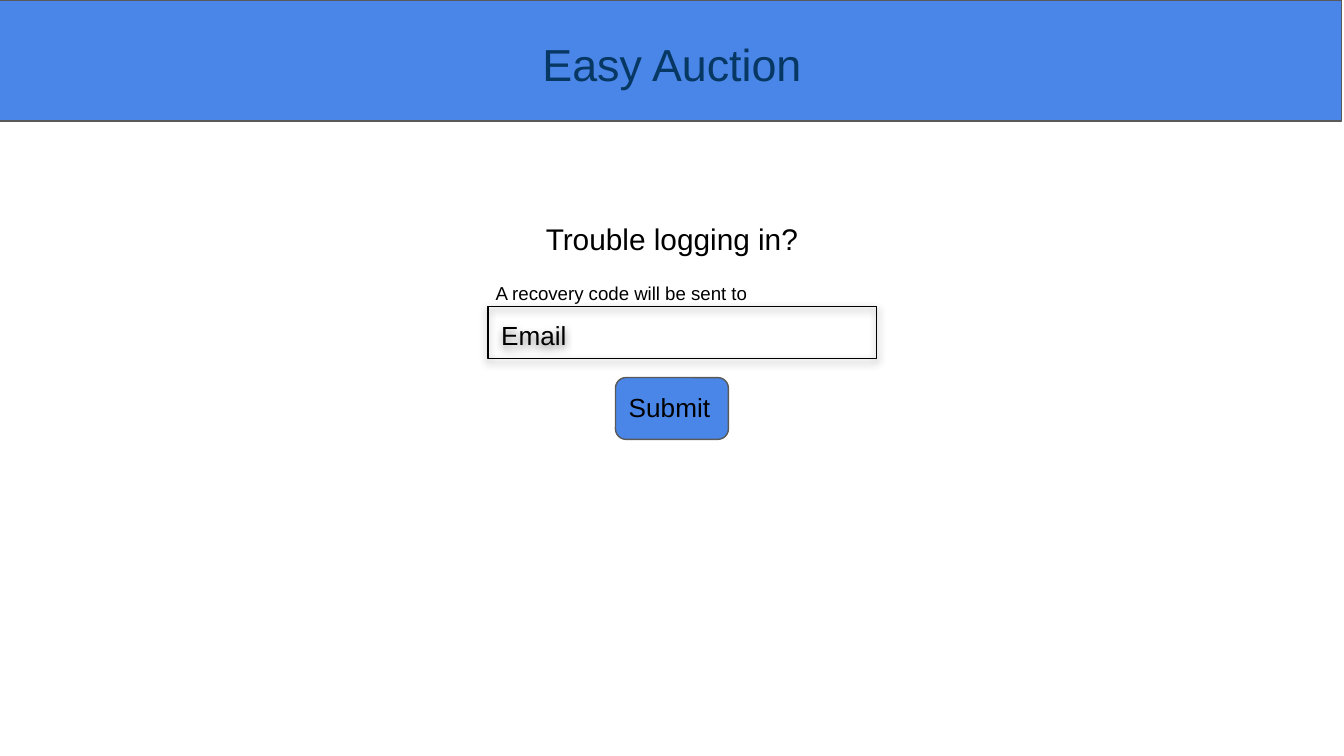
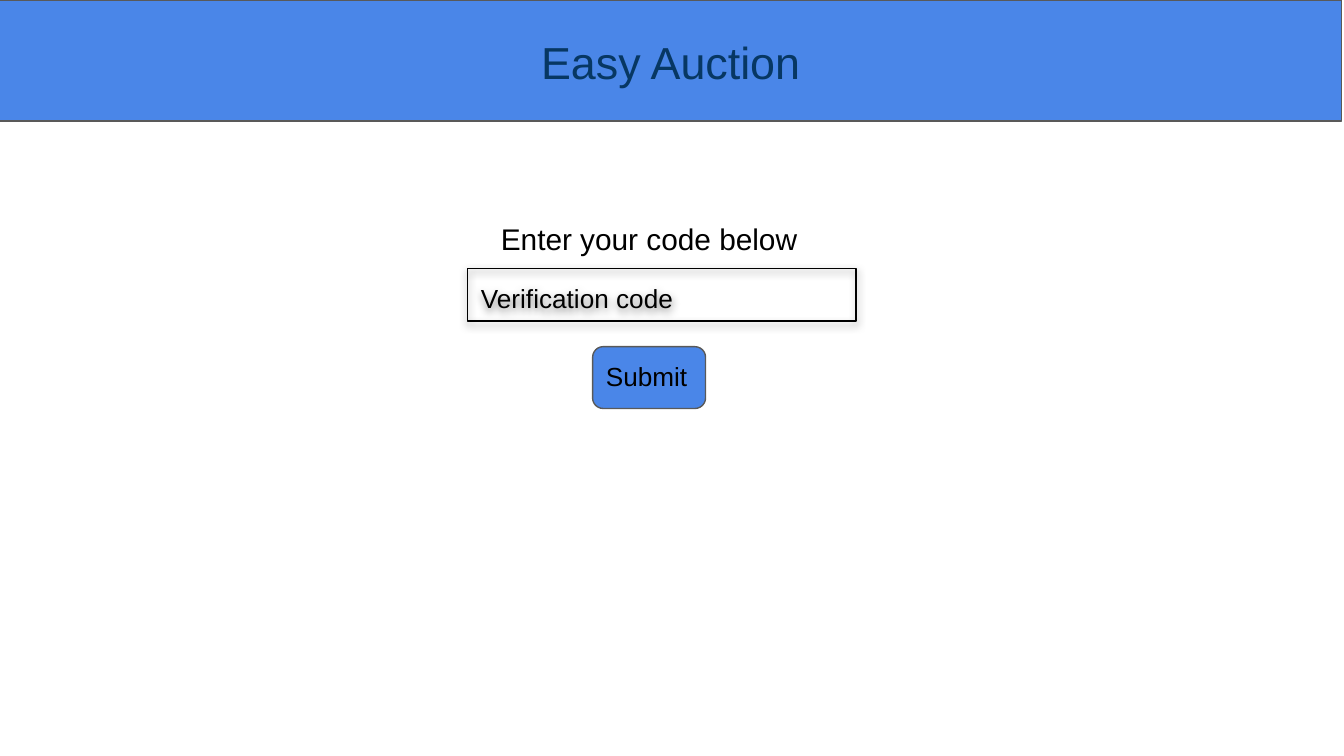
import dataclasses

import pptx
import pptx.dml.color
import pptx.enum.shapes
import pptx.enum.text
import pptx.oxml
import pptx.oxml.ns
import pptx.util

Inches = pptx.util.Inches
Pt = pptx.util.Pt
RGB = pptx.dml.color.RGBColor.from_string
MSO_SHAPE = pptx.enum.shapes.MSO_SHAPE
PP_ALIGN = pptx.enum.text.PP_ALIGN


@dataclasses.dataclass(frozen=True)
class Theme:
    font: str = "Arial"
    blue: str = "4A86E8"
    border: str = "595959"
    navy: str = "073763"
    black: str = "000000"
    title: int = 24
    heading: int = 16
    field: int = 14
    hint: int = 10


theme = Theme()

SHADOW = (
    f'<a:effectLst {pptx.oxml.ns.nsdecls("a")}>'
    f'<a:outerShdw blurRad="{Pt(4.5)}" dist="{Pt(1.5)}" dir="5400000" algn="bl" rotWithShape="0">'
    f'<a:srgbClr val="{theme.black}"><a:alpha val="50000"/></a:srgbClr>'
    "</a:outerShdw></a:effectLst>"
)


def add_box(s, kind, left, top, width, height, line, fill=None):
    sp = s.shapes.add_shape(kind, Inches(left), Inches(top), Inches(width), Inches(height))
    sp.shadow.inherit = False
    sp.line.color.rgb = RGB(line)
    sp.line.width = Pt(0.75)
    if fill:
        sp.fill.solid()
        sp.fill.fore_color.rgb = RGB(fill)
    else:
        sp.fill.background()
    return sp


def write(sp, text, size, align=PP_ALIGN.LEFT, color=theme.black):
    tf = sp.text_frame
    tf.word_wrap = True
    tf.auto_size = pptx.enum.text.MSO_AUTO_SIZE.NONE
    tf.vertical_anchor = pptx.enum.text.MSO_ANCHOR.TOP
    tf.margin_left = tf.margin_right = tf.margin_top = tf.margin_bottom = Inches(0.1)
    p = tf.paragraphs[0]
    p.alignment = align
    r = p.add_run()
    r.text = text
    r.font.name = theme.font
    r.font.size = Pt(size)
    r.font.color.rgb = RGB(color)


screens = [
    {
        "title_at": (3.25, 0.17),
        "heading": "Trouble logging in?",
        "heading_left": 2.93,
        "hint": "A recovery code will be sent to",
        "field": "Email",
        "field_at": (3.63, 2.28),
        "button_at": (4.58, 2.81),
    },
    {
        "title_at": (3.24, 0.16),
        "heading": "Enter your code below",
        "heading_left": 2.76,
        "hint": None,
        "field": "Verification code",
        "field_at": (3.48, 2),
        "button_at": (4.41, 2.58),
    },
]

prs = pptx.Presentation()
prs.slide_width = Inches(10)
prs.slide_height = Inches(10 * 9 / 16)

for screen in screens:
    s = prs.slides.add_slide(prs.slide_layouts[5])

    title = s.shapes.title
    title.left, title.top = map(Inches, screen["title_at"])
    title.width, title.height = Inches(3.5), Inches(0.57)
    write(title, "Easy Auction", theme.title, PP_ALIGN.CENTER, theme.navy)

    band = add_box(s, MSO_SHAPE.RECTANGLE, -0.02, 0, 10, 0.9, theme.border, theme.blue)
    title.element.addprevious(band.element)

    heading = s.shapes.add_textbox(
        Inches(screen["heading_left"]), Inches(1.54), Inches(4.14), Inches(0.46)
    )
    write(heading, screen["heading"], theme.heading, PP_ALIGN.CENTER)

    field = add_box(s, MSO_SHAPE.RECTANGLE, *screen["field_at"], 2.89, 0.39, theme.black)
    effects = field.element.spPr.find(pptx.oxml.ns.qn("a:effectLst"))
    effects.getparent().replace(effects, pptx.oxml.parse_xml(SHADOW))
    write(field, screen["field"], theme.field)

    if screen["hint"]:
        hint = s.shapes.add_textbox(Inches(3.59), Inches(2), Inches(3.13), Inches(0.39))
        write(hint, screen["hint"], theme.hint)

    button = add_box(
        s, MSO_SHAPE.ROUNDED_RECTANGLE, *screen["button_at"], 0.84, 0.46, theme.border, theme.blue
    )
    button.adjustments[0] = 0.17
    label = s.shapes.add_textbox(button.left, button.top, button.width, button.height)
    write(label, "Submit", theme.field)

prs.save("out.pptx")
